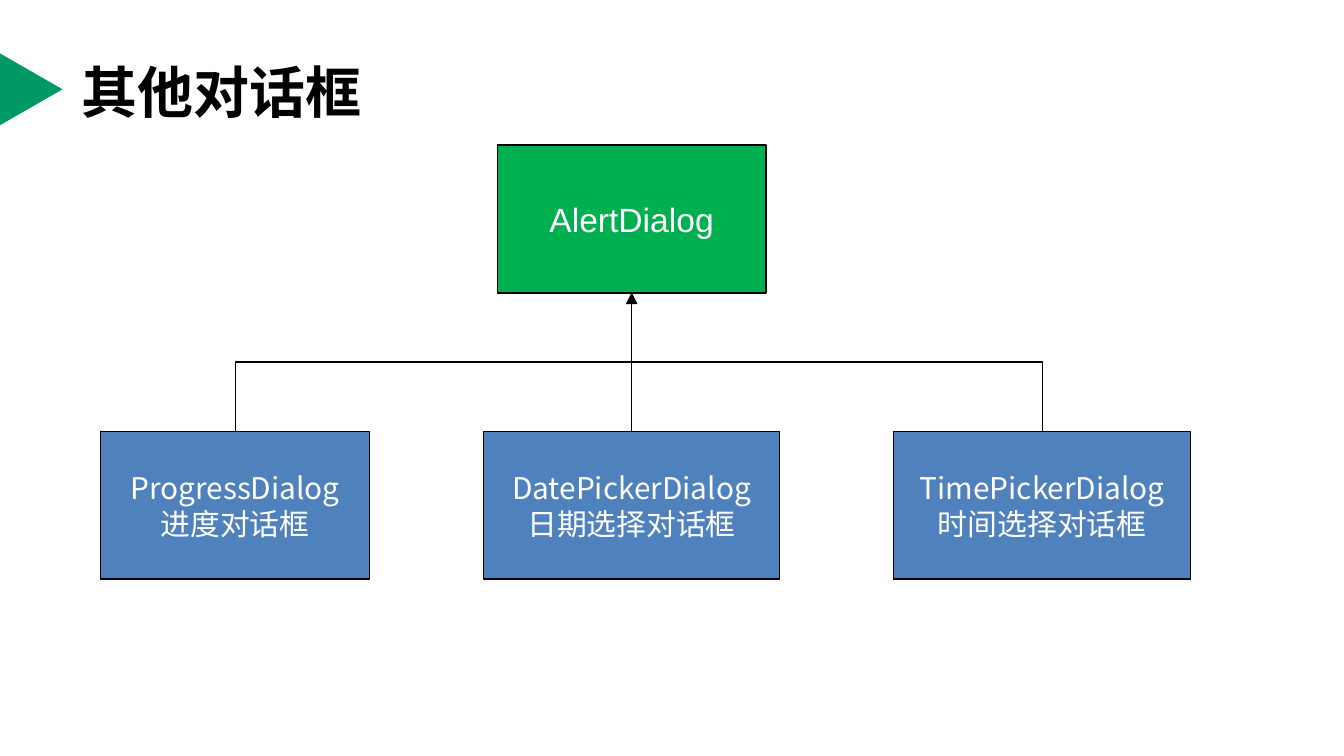
from dataclasses import dataclass

from lxml.etree import SubElement
from pptx import Presentation
from pptx.dml.color import RGBColor
from pptx.enum.shapes import MSO_CONNECTOR, MSO_SHAPE
from pptx.enum.text import MSO_ANCHOR, PP_ALIGN
from pptx.oxml.ns import qn
from pptx.util import Inches, Pt


@dataclass(frozen=True)
class Theme:
    black: RGBColor = RGBColor(0x00, 0x00, 0x00)
    white: RGBColor = RGBColor(0xFF, 0xFF, 0xFF)
    teal: RGBColor = RGBColor(0x00, 0x99, 0x66)
    green: RGBColor = RGBColor(0x00, 0xB0, 0x50)
    blue: RGBColor = RGBColor(0x4F, 0x81, 0xBD)
    latin: str = "Arial"
    cjk: str = "Noto Sans CJK SC"
    title: Pt = Pt(30)
    root: Pt = Pt(18)
    leaf: Pt = Pt(16)
    line: Pt = Pt(0.75)


THEME = Theme()


def style(para, size, color, face, align, bold=False):
    para.alignment = align
    font = para.font
    font.size, font.name, font.bold = size, face, bold
    font.color.rgb = color
    # East Asian glyphs take their own typeface element
    props = para._p.pPr.find(qn("a:defRPr"))
    SubElement(props, qn("a:ea")).set("typeface", face)


def add_title(slide, text):
    title = slide.shapes.title
    title.left, title.top = Inches(0.51), Inches(0.21)
    title.width, title.height = Inches(9), Inches(0.94)
    frame = title.text_frame
    frame.text = text
    frame.vertical_anchor = MSO_ANCHOR.MIDDLE
    style(frame.paragraphs[0], THEME.title, THEME.black, THEME.cjk,
          PP_ALIGN.LEFT, bold=True)


def add_marker(slide):
    mark = slide.shapes.add_shape(
        MSO_SHAPE.ISOSCELES_TRIANGLE,
        Inches(-0.04), Inches(0.43), Inches(0.54), Inches(0.47))
    mark.rotation = 90
    mark.shadow.inherit = False
    mark.fill.solid()
    mark.fill.fore_color.rgb = THEME.teal
    mark.line.fill.background()


def add_box(slide, text, left, top, width, fill, size, face):
    box = slide.shapes.add_shape(
        MSO_SHAPE.RECTANGLE,
        Inches(left), Inches(top), Inches(width), Inches(1.1))
    box.shadow.inherit = False
    box.fill.solid()
    box.fill.fore_color.rgb = fill
    box.line.color.rgb = THEME.black
    box.line.width = THEME.line
    frame = box.text_frame
    frame.word_wrap = True
    frame.vertical_anchor = MSO_ANCHOR.MIDDLE
    frame.text = text
    for para in frame.paragraphs:
        style(para, size, THEME.white, face, PP_ALIGN.CENTER)
    return box


def add_arrow(slide, child, root):
    start = child.left + child.width // 2
    end = root.left + root.width // 2
    base = root.top + root.height
    span, rise = abs(end - start), child.top - base
    bent = span > Inches(0.05)
    kind = MSO_CONNECTOR.ELBOW if bent else MSO_CONNECTOR.STRAIGHT
    arrow = slide.shapes.add_connector(kind, start, child.top, end, base)
    arrow.begin_connect(child, 0)
    arrow.end_connect(root, 2)
    if bent:
        # Turn the elbow so that it leaves and arrives vertically
        arrow.left = (start + end - rise) // 2
        arrow.top = base + (rise - span) // 2
        arrow.width, arrow.height = rise, span
        xfrm = arrow._element.spPr.xfrm
        xfrm.rot = 90 if start < end else 270
        xfrm.flipH, xfrm.flipV = start < end, True
    arrow.line.color.rgb = THEME.black
    arrow.line.width = THEME.line
    edge = arrow._element.spPr.find(qn("a:ln"))
    SubElement(edge, qn("a:tailEnd")).set("type", "triangle")
    SubElement(arrow._element.spPr, qn("a:effectLst"))


def main():
    # Wide 16:9 page, without the template's 4:3 tag
    deck = Presentation()
    deck.slide_width = Inches(10)
    deck.slide_height = deck.slide_width * 9 // 16
    deck.element.find(qn("p:sldSz")).attrib.pop("type", None)
    slide = deck.slides.add_slide(deck.slide_layouts[5])

    # Heading
    add_marker(slide)
    add_title(slide, "其他对话框")

    # Class tree: one parent, three children
    root = add_box(slide, "AlertDialog", 3.7, 1.08, 2,
                   THEME.green, THEME.root, THEME.latin)
    leaves = [
        ("ProgressDialog\n进度对话框", 0.75, 2),
        ("DatePickerDialog\n日期选择对话框", 3.6, 2.2),
        ("TimePickerDialog\n时间选择对话框", 6.65, 2.21),
    ]
    boxes = [add_box(slide, text, left, 3.21, width,
                     THEME.blue, THEME.leaf, THEME.cjk)
             for text, left, width in leaves]

    # Inheritance arrows
    for box in boxes:
        add_arrow(slide, box, root)

    deck.save("out.pptx")


if __name__ == "__main__":
    main()
